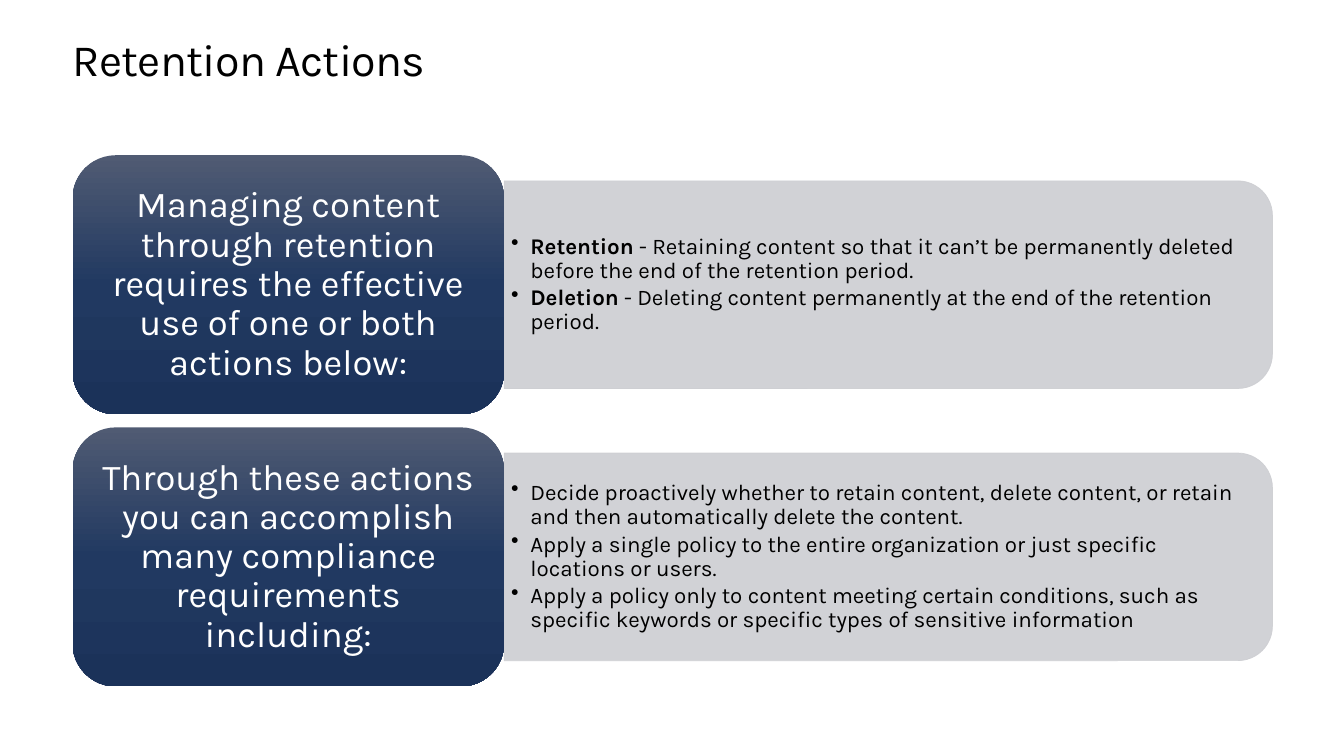
"""Build the Retention Actions slide."""
from copy import deepcopy

from lxml.etree import SubElement
from pptx import Presentation
from pptx.dml.color import RGBColor
from pptx.enum.shapes import MSO_SHAPE as Shape
from pptx.enum.text import MSO_ANCHOR as Anchor, PP_ALIGN as Align
from pptx.oxml.ns import qn
from pptx.util import Inches, Pt


def color(hex_value):
    """Turn a hex string into a colour."""
    return RGBColor.from_string(hex_value)


def write(shape, paragraphs, size, font_color="000000", align=Align.LEFT, anchor=Anchor.MIDDLE,
          insets=(0, 0), line_spacing=0.9, space_after=0, bullet=False, spacing=0):
    """Fill a shape with paragraphs, each a list of (text, bold) runs."""
    frame = shape.text_frame
    frame.word_wrap = True
    frame.vertical_anchor = anchor
    frame.margin_left = frame.margin_right = Inches(insets[0])
    frame.margin_top = frame.margin_bottom = Inches(insets[1])
    for index, runs in enumerate(paragraphs):
        paragraph = frame.add_paragraph() if index else frame.paragraphs[0]
        paragraph.alignment = align
        paragraph.line_spacing = line_spacing
        paragraph.space_after = Pt(space_after)
        if bullet:
            paragraph.level = 1
            properties = paragraph._p.get_or_add_pPr()
            properties.set("marL", str(Inches(0.19)))
            properties.set("indent", str(Inches(-0.19)))
            SubElement(properties, qn("a:buChar"), char="•")
        for text, bold in runs:
            run = paragraph.add_run()
            run.text = text
            run.font.name = "Karla"
            run.font.size = Pt(size)
            run.font.bold = bold
            run.font.color.rgb = color(font_color)
            if spacing:
                run._r.get_or_add_rPr().set("spc", str(spacing))


ROWS = [
    ("Managing content through retention requires the effective use of one or both actions below:", [
        [("Retention", True), (" - Retaining content so that it can’t be permanently deleted "
                               "before the end of the retention period.", False)],
        [("Deletion", True), (" - Deleting content permanently at the end of the retention period.", False)],
    ]),
    ("Through these actions you can accomplish many compliance requirements including:", [
        [("Decide proactively whether to retain content, delete content, or retain "
          "and then automatically delete the content.", False)],
        [("Apply a single policy to the entire organization or just specific locations or users.", False)],
        [("Apply a policy only to content meeting certain conditions, such as specific keywords "
          "or specific types of sensitive information", False)],
    ]),
]
GRADIENT = [(0, "505B73"), (0.5, "213961"), (1, "1B3259")]
LEFT, LABEL_WIDTH, LABEL_HEIGHT = 0.72, 4.28, 2.57
PANEL_LEFT, PANEL_WIDTH, PANEL_HEIGHT = 5, 7.62, 2.06

presentation = Presentation()
presentation.slide_width = Inches(13.33)
presentation.slide_height = Inches(7.5)
slide = presentation.slides.add_slide(presentation.slide_layouts[6])

title = slide.shapes.add_textbox(Inches(LEFT), Inches(0.35), Inches(11.9), Inches(0.5))
write(title, [[("Retention Actions", False)]], 32, anchor=Anchor.TOP, line_spacing=Pt(36.2), spacing=-50)

for row, (heading, bullets) in enumerate(ROWS):
    top = 1.54 + row * 2.7
    middle = top + LABEL_HEIGHT / 2

    panel = slide.shapes.add_shape(
        Shape.ROUND_2_SAME_RECTANGLE,
        Inches(PANEL_LEFT + (PANEL_WIDTH - PANEL_HEIGHT) / 2), Inches(middle - PANEL_WIDTH / 2),
        Inches(PANEL_HEIGHT), Inches(PANEL_WIDTH))
    panel.rotation = 90
    panel.shadow.inherit = False
    panel.fill.solid()
    panel.fill.fore_color.rgb = color("CDCED2")
    panel.line.color.rgb = color("CDCED2")
    panel.line.width = Pt(0.5)
    for panel_color in panel._element.spPr.iter(qn("a:srgbClr")):
        SubElement(panel_color, qn("a:alpha"), val="90000")

    details = slide.shapes.add_textbox(
        Inches(PANEL_LEFT), Inches(middle - 0.93), Inches(7.52), Inches(1.86))
    write(details, bullets, 16, insets=(0.07, 0.03), space_after=2.4, bullet=True)

    label = slide.shapes.add_shape(
        Shape.ROUNDED_RECTANGLE, Inches(LEFT), Inches(top), Inches(LABEL_WIDTH), Inches(LABEL_HEIGHT))
    label.shadow.inherit = False
    label.line.fill.background()
    label.fill.gradient()
    label.fill.gradient_angle = 270
    stop_list = label._element.spPr.find(".//" + qn("a:gsLst"))
    stop_list.append(deepcopy(stop_list[0]))
    for stop, (position, stop_color) in zip(label.fill.gradient_stops, GRADIENT):
        stop.position = position
        stop.color.rgb = color(stop_color)
    write(label, [[(heading, False)]], 26, font_color="FFFFFF", align=Align.CENTER, insets=(0.11, 0.05))

presentation.save("out.pptx")
